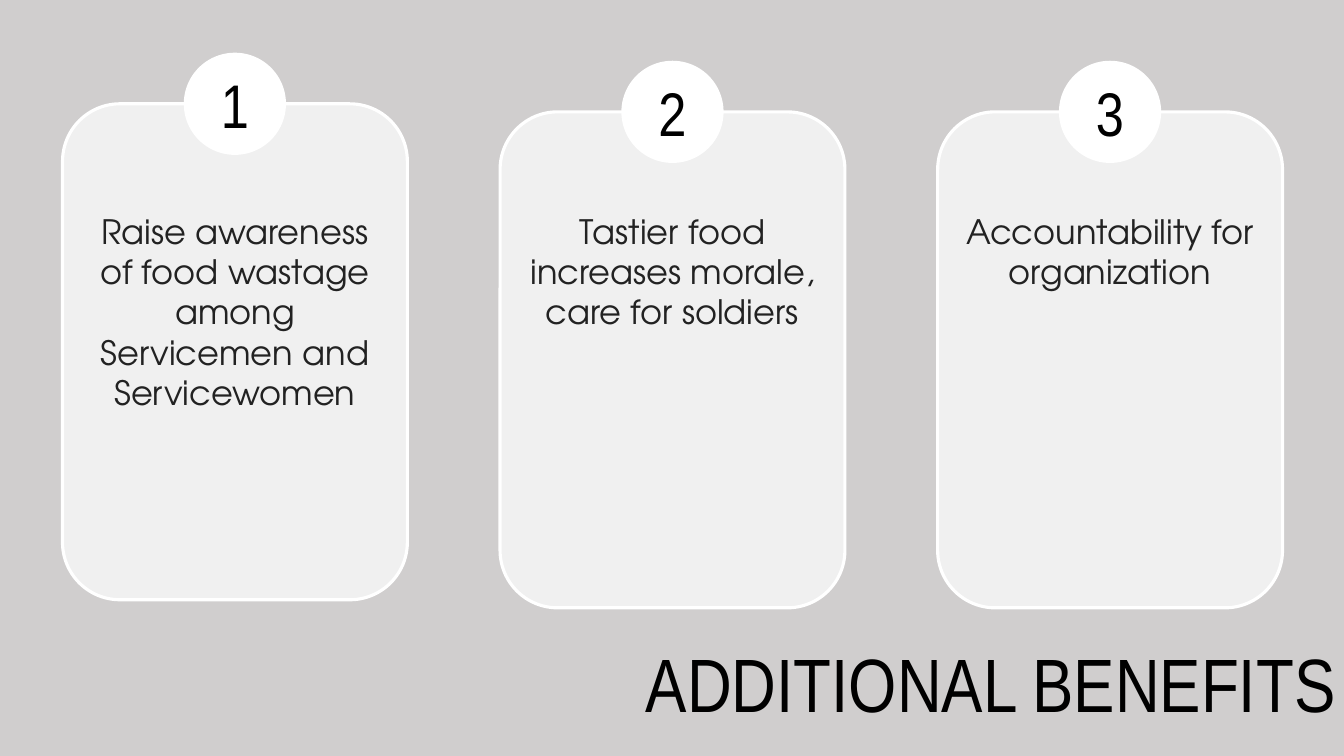
from pptx import Presentation
from pptx.dml.color import RGBColor
from pptx.enum import shapes, text
from pptx.oxml.ns import qn
from pptx.util import Pt
from lxml import etree

PX = 9144  # EMU per px, 100 px to the inch
HEX = {"back": "D0CECE", "white": "FFFFFF", "black": "000000", "body": "222222"}
HEAD, BODY = "Arial Narrow", "TeX Gyre Adventor"
KIND = shapes.MSO_SHAPE

LEFT, STEP = 62, 434
CARD_W, CARD_H = 342, 492
DISC = 100
NOTE_W, NOTE_TOP = 320, 204
# card top, note height, note wording
CARDS = [
    (103, 212, "Raise awareness of food wastage among Servicemen and Servicewomen"),
    (111, 131, "Tastier food increases morale, care for soldiers"),
    (111, 91, "Accountability for organization"),
]


def rgb(name):
    return RGBColor.from_string(HEX[name])


def box(*px):
    return [n * PX for n in px]


def write(shape, words, size, face, color="black", anchor=text.MSO_ANCHOR.TOP):
    frame = shape.text_frame
    frame.text = words
    frame.word_wrap = True
    frame.auto_size = text.MSO_AUTO_SIZE.NONE
    frame.vertical_anchor = anchor
    para = frame.paragraphs[0]
    para.alignment = text.PP_ALIGN.CENTER
    font = para.runs[0].font
    font.size, font.name = Pt(size), face
    font.color.rgb = rgb(color)


def draw(slide, kind, area, width, alpha=None):
    """Add a white shape with a white edge; alpha is its opacity in percent."""
    shape = slide.shapes.add_shape(kind, *box(*area))
    shape.shadow.inherit = False
    shape.fill.solid()
    shape.fill.fore_color.rgb = rgb("white")
    shape.line.color.rgb = rgb("white")
    shape.line.width = Pt(width)
    if alpha:
        tint = shape.fill._xPr.find(qn("a:solidFill"))[0]
        etree.SubElement(tint, qn("a:alpha")).set("val", str(alpha * 1000))
    return shape


def title(slide, words):
    head = slide.shapes.title
    head.left, head.top, head.width, head.height = box(621, 627, 724, 101)
    write(head, words, 54, HEAD)


def card(slide, mid, top):
    area = (mid - CARD_W // 2, top, CARD_W, CARD_H)
    draw(slide, KIND.ROUNDED_RECTANGLE, area, 2.25, alpha=70)


def badge(slide, mid, top, num):
    area = (mid - DISC // 2, top - DISC // 2, DISC, DISC)
    disc = draw(slide, KIND.OVAL, area, 1)
    write(disc, str(num), 44, HEAD, anchor=text.MSO_ANCHOR.MIDDLE)


def note(slide, mid, high, words):
    area = box(mid - NOTE_W // 2, NOTE_TOP, NOTE_W, high)
    write(slide.shapes.add_textbox(*area), words, 24, BODY, color="body")


def main():
    deck = Presentation()
    deck.slide_width, deck.slide_height = box(1333, 750)
    slide = deck.slides.add_slide(deck.slide_layouts[5])
    slide.background.fill.solid()
    slide.background.fill.fore_color.rgb = rgb("back")
    title(slide, "ADDITIONAL BENEFITS")
    for i, (top, high, words) in enumerate(CARDS):
        mid = LEFT + CARD_W // 2 + i * STEP
        card(slide, mid, top)
        badge(slide, mid, top, i + 1)
        note(slide, mid, high, words)
    deck.save("out.pptx")


if __name__ == "__main__":
    main()
